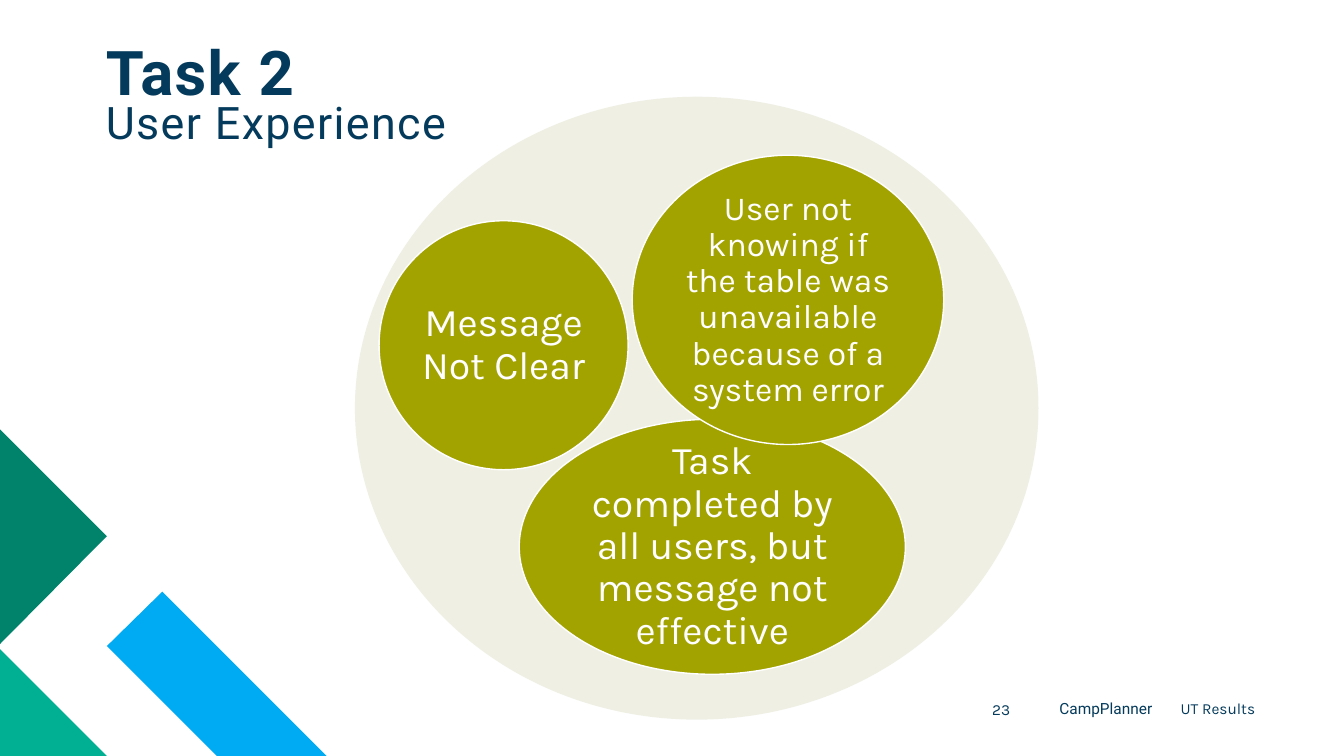
import pptx
import pptx.dml.color
import pptx.enum.shapes
import pptx.enum.text
import pptx.oxml
import pptx.oxml.ns
import pptx.util

PX = 9144
NAVY = "043A5B"
OLIVE = "A2A200"
WHITE = "FFFFFF"
ALIGN = pptx.enum.text.PP_ALIGN
ANCHOR = pptx.enum.text.MSO_ANCHOR


def px(*lengths):
    return [length * PX for length in lengths]


def paint(target, colour):
    if hasattr(target, "solid"):
        target.solid()
        target = target.fore_color
    target.rgb = pptx.dml.color.RGBColor.from_string(colour)


def write(frame, text, size, font, colour, align, anchor, inset=0, line_spacing=1.0):
    frame.word_wrap = True
    frame.vertical_anchor = anchor
    frame.margin_left = frame.margin_right = inset * PX
    frame.margin_top = frame.margin_bottom = inset * PX
    frame.text = text
    para = frame.paragraphs[0]
    para.alignment = align
    para.line_spacing = line_spacing
    span = para.runs[0]
    span.font.size = pptx.util.Pt(size)
    span.font.name = font
    paint(span.font.color, colour)
    return span


def add_heading(page, text, top, size, bold):
    box = page.shapes.add_textbox(*px(105, top, 540, 67))
    span = write(box.text_frame, text, size, "Roboto", NAVY,
                 ALIGN.LEFT, ANCHOR.BOTTOM, line_spacing=0.9)
    span.font.bold = bold
    span.font._element.set("spc", "100")


def add_footer(page, text, place, font):
    box = page.shapes.add_textbox(*px(*place))
    write(box.text_frame, text, 11, font, NAVY, ALIGN.RIGHT, ANCHOR.TOP)


def add_polygon(page, points, colour):
    builder = page.shapes.build_freeform(*points[0], scale=PX)
    builder.add_line_segments(points[1:], close=True)
    shape = builder.convert_to_shape()
    shape.shadow.inherit = False
    paint(shape.fill, colour)
    shape.line.fill.background()


def add_ellipse(page, place, colour):
    shape = page.shapes.add_shape(
        pptx.enum.shapes.MSO_SHAPE.OVAL, *px(*place))
    shape.shadow.inherit = False
    paint(shape.fill, colour)
    shape.line.fill.background()
    return shape


def set_opacity(shape, percent):
    colour = shape.fill._xPr.find(".//" + pptx.oxml.ns.qn("a:srgbClr"))
    colour.append(pptx.oxml.parse_xml(
        f'<a:alpha {pptx.oxml.ns.nsdecls("a")} val="{percent * 1000}"/>'))


def add_bubble(page, text, place, size, inset):
    bubble = add_ellipse(page, place, OLIVE)
    paint(bubble.line.fill, WHITE)
    bubble.line.width = pptx.util.Pt(1)
    write(bubble.text_frame, text, size, "Karla", WHITE,
          ALIGN.CENTER, ANCHOR.MIDDLE, inset, 0.9)


def main():
    deck = pptx.Presentation()
    deck.slide_width, deck.slide_height = px(1333, 750)
    page = deck.slides.add_slide(deck.slide_layouts[6])
    paint(page.background.fill, WHITE)

    add_footer(page, "23", (956, 695, 46, 40), "Karla")
    add_footer(page, "CampPlanner", (992, 694, 151, 29), "Roboto")
    add_footer(page, "UT Results", (1112, 694, 133, 40), "Karla")

    add_polygon(page, [(324, 750), (215, 750), (106, 641), (161, 587)], "00ABF3")
    add_polygon(page, [(106, 750), (0, 750), (0, 644)], "01AF92")
    add_polygon(page, [(0, 426), (106, 532), (0, 639)], "00836A")

    add_heading(page, "Task 2", 41, 44, True)
    add_heading(page, "User Experience", 81, 32, False)

    backdrop = add_ellipse(page, (352, 96, 678, 618), "D7D7BD")
    set_opacity(backdrop, 40)
    add_bubble(page, "Task completed by all users, but message not effective",
               (515, 416, 383, 253), 28, 4)
    add_bubble(page, "Message Not Clear", (376, 219, 247, 247), 28, 4)
    add_bubble(page, "User not knowing if the table was unavailable "
               "because of a system error", (627, 154, 309, 287), 24, 3)

    deck.save("out.pptx")


if __name__ == "__main__":
    main()
